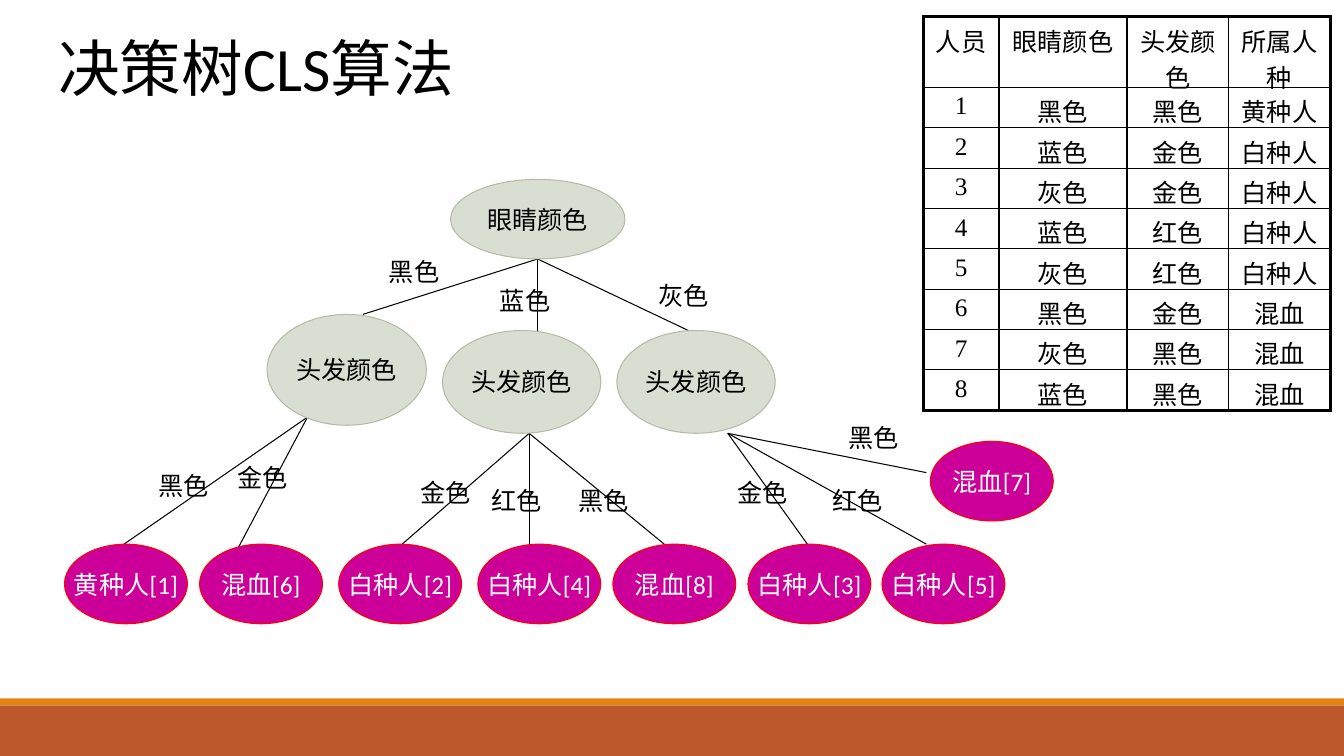
import lxml.etree
import pptx
import pptx.dml.color
import pptx.enum.shapes
import pptx.enum.text
import pptx.oxml.ns
import pptx.util

THEME = {
    "ink": "000000", "white": "FFFFFF",
    "question_fill": "D8DED1", "question_line": "B2BCA4",
    "race_fill": "CC0099", "race_line": "FF0000",
    "footer": "BD582C", "stripe": "E48312",
    "font": "Calibri", "table_font": "Times New Roman",
    "title": 44, "body": 18,
    "thin": 0.75, "rule": 1, "frame": 2.25,
}
OVAL = pptx.enum.shapes.MSO_SHAPE.OVAL
CENTER = pptx.enum.text.PP_ALIGN.CENTER
MIDDLE = pptx.enum.text.MSO_ANCHOR.MIDDLE

deck = pptx.Presentation()
deck.slide_width = pptx.util.Inches(13.33)
deck.slide_height = pptx.util.Inches(7.5)
slide = deck.slides.add_slide(deck.slide_layouts[6])

# All lengths are in cells of a grid with 160 columns and 90 rows
CELL = deck.slide_width / 160


def add_box(box, preset=None, fill=None, line=None):
    """Add a filled shape, or a text box if there is no preset."""
    place = [round(length * CELL) for length in box]
    if preset is None:
        return slide.shapes.add_textbox(*place)
    shape = slide.shapes.add_shape(preset, *place)
    shape.shadow.inherit = False
    shape.fill.solid()
    shape.fill.fore_color.rgb = pptx.dml.color.RGBColor.from_string(THEME[fill])
    if line:
        shape.line.color.rgb = pptx.dml.color.RGBColor.from_string(THEME[line])
        shape.line.width = pptx.util.Pt(THEME["thin"])
    else:
        shape.line.fill.background()
    return shape


def write(frame, text, size="body", color="ink", font="font", align=None):
    frame.text = text
    paragraph = frame.paragraphs[0]
    paragraph.alignment = align
    for run in paragraph.runs:
        run.font.size = pptx.util.Pt(THEME[size])
        run.font.name = THEME[font]
        run.font.color.rgb = pptx.dml.color.RGBColor.from_string(THEME[color])


# Footer bands
RECTANGLE = pptx.enum.shapes.MSO_SHAPE.RECTANGLE
add_box((0, 84, 160, 6), RECTANGLE, "footer")
add_box((0, 83.16, 160, 0.84), RECTANGLE, "stripe")

# Title
title = add_box((5.76, 2.28, 138, 12.48)).text_frame
title.word_wrap = True
title.vertical_anchor = MIDDLE
write(title, "决策树CLS算法", "title")
title.paragraphs[0].line_spacing = 0.9

# Tree: each fork has branches of answer, answer place, line end, node, node box
LEAF_TOP, LEAF_SIZE = 64.8, (14.64, 9.48)
HAIR_SIZE = (18.84, 12.24)
root_box = (53.64, 21.36, 20.76, 9.48)
forks = [
    ((64, 30.84), [
        ("黑色", (45.12, 29.88), (43.2, 37.44), "头发颜色", (31.8, 37.44, 18.96, 13.2)),
        ("蓝色", (58.32, 33.36), (64, 40.32), "头发颜色", (52.68, 39.36, *HAIR_SIZE)),
        ("灰色", (77.16, 32.76), (81.96, 39.36), "头发颜色", (73.44, 39.36, *HAIR_SIZE)),
    ]),
    ((36.6, 49.68), [
        ("黑色", (17.64, 55.44), (14.76, LEAF_TOP), "黄种人[1]", (7.68, LEAF_TOP, *LEAF_SIZE)),
        ("金色", (27.12, 54.48), (28.08, 65.76), "混血[6]", (23.76, LEAF_TOP, *LEAF_SIZE)),
    ]),
    ((63, 51.6), [
        ("金色", (48.84, 56.28), (47.88, LEAF_TOP), "白种人[2]", (40.32, LEAF_TOP, *LEAF_SIZE)),
        ("红色", (57.36, 57.24), (63, LEAF_TOP), "白种人[4]", (56.88, LEAF_TOP, *LEAF_SIZE)),
        ("黑色", (67.68, 57.24), (79.08, LEAF_TOP), "混血[8]", (72.96, LEAF_TOP, *LEAF_SIZE)),
    ]),
    ((86.64, 51.6), [
        ("金色", (86.64, 56.28), (96.12, LEAF_TOP), "白种人[3]", (89.04, LEAF_TOP, *LEAF_SIZE)),
        ("红色", (97.92, 57.24), (110.28, LEAF_TOP), "白种人[5]", (105, LEAF_TOP, *LEAF_SIZE)),
        ("黑色", (99.84, 49.68), (110.28, 56.28), "混血[7]", (110.76, 52.56, *LEAF_SIZE)),
    ]),
]
nodes = [("眼睛颜色", root_box)]
answers = []

# Branch lines
for fork, branches in forks:
    for answer, answer_place, end, node, node_box in branches:
        ends = [round(length * CELL) for length in (*fork, *end)]
        branch = slide.shapes.add_connector(
            pptx.enum.shapes.MSO_CONNECTOR.STRAIGHT, *ends)
        branch.line.color.rgb = pptx.dml.color.RGBColor.from_string(THEME["ink"])
        branch.line.width = pptx.util.Pt(THEME["thin"])
        lxml.etree.SubElement(branch.element.spPr, pptx.oxml.ns.qn("a:effectLst"))
        nodes.append((node, node_box))
        answers.append((answer, answer_place))

# Nodes: questions in green, races in magenta
for node, node_box in nodes:
    kind = "race" if "[" in node else "question"
    oval = add_box(node_box, OVAL, kind + "_fill", kind + "_line").text_frame
    oval.word_wrap = False
    oval.vertical_anchor = MIDDLE
    write(oval, node, color="white" if kind == "race" else "ink", align=CENTER)

# Answers on the branches
for answer, answer_place in answers:
    label = add_box((*answer_place, 8.52, 4.8)).text_frame
    label.word_wrap = False
    write(label, answer)

# Table of people
people = [
    ("人员", "眼睛颜色", "头发颜色", "所属人种"),
    ("1", "黑色", "黑色", "黄种人"),
    ("2", "蓝色", "金色", "白种人"),
    ("3", "灰色", "金色", "白种人"),
    ("4", "蓝色", "红色", "白种人"),
    ("5", "灰色", "红色", "白种人"),
    ("6", "黑色", "金色", "混血"),
    ("7", "灰色", "黑色", "混血"),
    ("8", "蓝色", "黑色", "混血"),
]
column_widths = (9, 15.24, 12.12, 12.12)
row_heights = [8.4] + [4.8] * 8
table_box = (109.92, 2, sum(column_widths), sum(row_heights))
last_row, last_column = len(people) - 1, len(column_widths) - 1
table = slide.shapes.add_table(
    len(people), len(column_widths),
    *[round(length * CELL) for length in table_box]).table
table.first_row = table.horz_banding = False
for column, width in zip(table.columns, column_widths):
    column.width = round(width * CELL)
for row, height in zip(table.rows, row_heights):
    row.height = round(height * CELL)

for r, person in enumerate(people):
    for c, value in enumerate(person):
        cell = table.cell(r, c)
        write(cell.text_frame, value, font="table_font", align=CENTER)
        outer = {"lnL": c == 0, "lnR": c == last_column,
                 "lnT": r == 0, "lnB": r == last_row}
        properties = cell._tc.get_or_add_tcPr()
        for side, is_outer in outer.items():
            weight = pptx.util.Pt(THEME["frame" if is_outer else "rule"])
            border = lxml.etree.SubElement(
                properties, pptx.oxml.ns.qn("a:" + side), w=str(int(weight)))
            paint = lxml.etree.SubElement(border, pptx.oxml.ns.qn("a:solidFill"))
            lxml.etree.SubElement(
                paint, pptx.oxml.ns.qn("a:srgbClr"), val=THEME["ink"])
        cell.fill.background()

deck.save("out.pptx")
